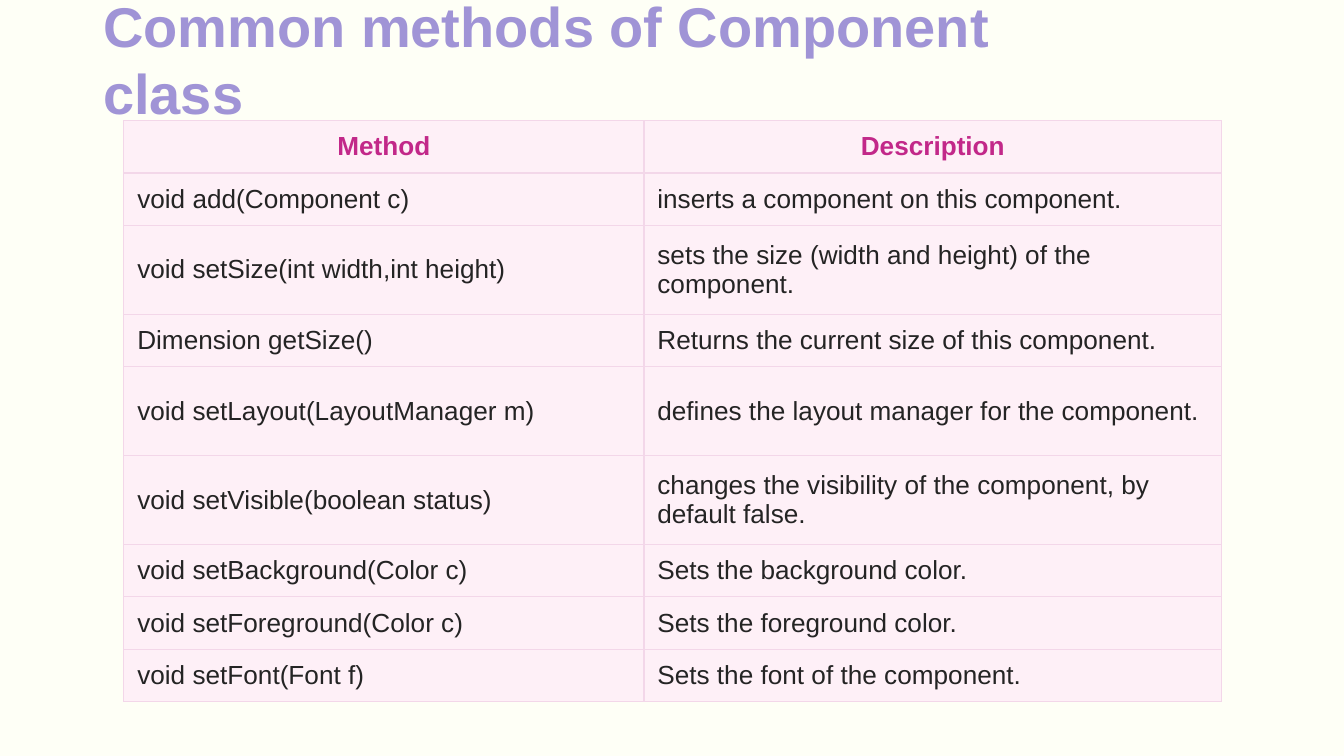
"""Build a slide with a table of common Component methods."""
from lxml.etree import SubElement
from pptx import Presentation
from pptx.dml.color import RGBColor
from pptx.enum.text import MSO_ANCHOR, PP_ALIGN
from pptx.oxml.ns import qn
from pptx.util import Cm, Pt

COLORS = {"bg": "FEFFF6", "title": "A094D6", "head": "C22889",
          "body": "242424", "cell": "FEF0F7", "border": "F3D7E9"}
FORMATS = {
    "title": {"name": "Arial", "size": Pt(30), "bold": True},
    "head": {"name": "Arial", "size": Pt(14), "bold": True},
    "body": {"name": "Arial", "size": Pt(14), "bold": False},
}
ROWS = [
    ("Method", "Description"),
    ("void add(Component c)", "inserts a component on this component."),
    ("void setSize(int width,int height)", "sets the size (width and height) of the component."),
    ("Dimension getSize()", "Returns the current size of this component."),
    ("void setLayout(LayoutManager m)", "defines the layout manager for the component."),
    ("void setVisible(boolean status)", "changes the visibility of the component, by default false."),
    ("void setBackground(Color c)", "Sets the background color."),
    ("void setForeground(Color c)", "Sets the foreground color."),
    ("void setFont(Font f)", "Sets the font of the component."),
]
TALL_ROWS = {2, 4, 5}


def write(p, text, role):
    r = p.add_run()
    r.text = text
    for key, value in FORMATS[role].items():
        setattr(r.font, key, value)
    r.font.color.rgb = RGBColor.from_string(COLORS[role])


def add_borders(cell):
    tc_pr = cell._tc.get_or_add_tcPr()
    for i, side in enumerate(("lnL", "lnR", "lnT", "lnB")):
        ln = tc_pr.makeelement(qn(f"a:{side}"), {"w": str(Pt(0.75))})
        fill = SubElement(ln, qn("a:solidFill"))
        SubElement(fill, qn("a:srgbClr"), val=COLORS["border"])
        tc_pr.insert(i, ln)


prs = Presentation()
prs.slide_width, prs.slide_height = Cm(25.4), Cm(14.29)
s = prs.slides.add_slide(prs.slide_layouts[6])
s.background.fill.solid()
s.background.fill.fore_color.rgb = RGBColor.from_string(COLORS["bg"])

sp = s.shapes.add_textbox(Cm(1.7), Cm(0.38), Cm(17.35), Cm(1.47))
tf = sp.text_frame
frame_format = {"word_wrap": True, "vertical_anchor": MSO_ANCHOR.MIDDLE}
frame_format.update({f"margin_{side}": Cm(0.25) for side in ("left", "right", "top", "bottom")})
for key, value in frame_format.items():
    setattr(tf, key, value)
write(tf.paragraphs[0], "Common methods of Component class", "title")

table = s.shapes.add_table(len(ROWS), 2, Cm(2.34), Cm(2.28), Cm(20.75), Cm(10.98)).table
for col, width in zip(table.columns, (9.83, 10.92)):
    col.width = Cm(width)
for i, texts in enumerate(ROWS):
    table.rows[i].height = Cm(1.68 if i in TALL_ROWS else 0.99)
    for j, text in enumerate(texts):
        cell = table.cell(i, j)
        cell.vertical_anchor = MSO_ANCHOR.MIDDLE
        cell.fill.solid()
        cell.fill.fore_color.rgb = RGBColor.from_string(COLORS["cell"])
        add_borders(cell)
        p = cell.text_frame.paragraphs[0]
        p.alignment = PP_ALIGN.LEFT if i else PP_ALIGN.CENTER
        write(p, text, "body" if i else "head")

prs.save("out.pptx")
